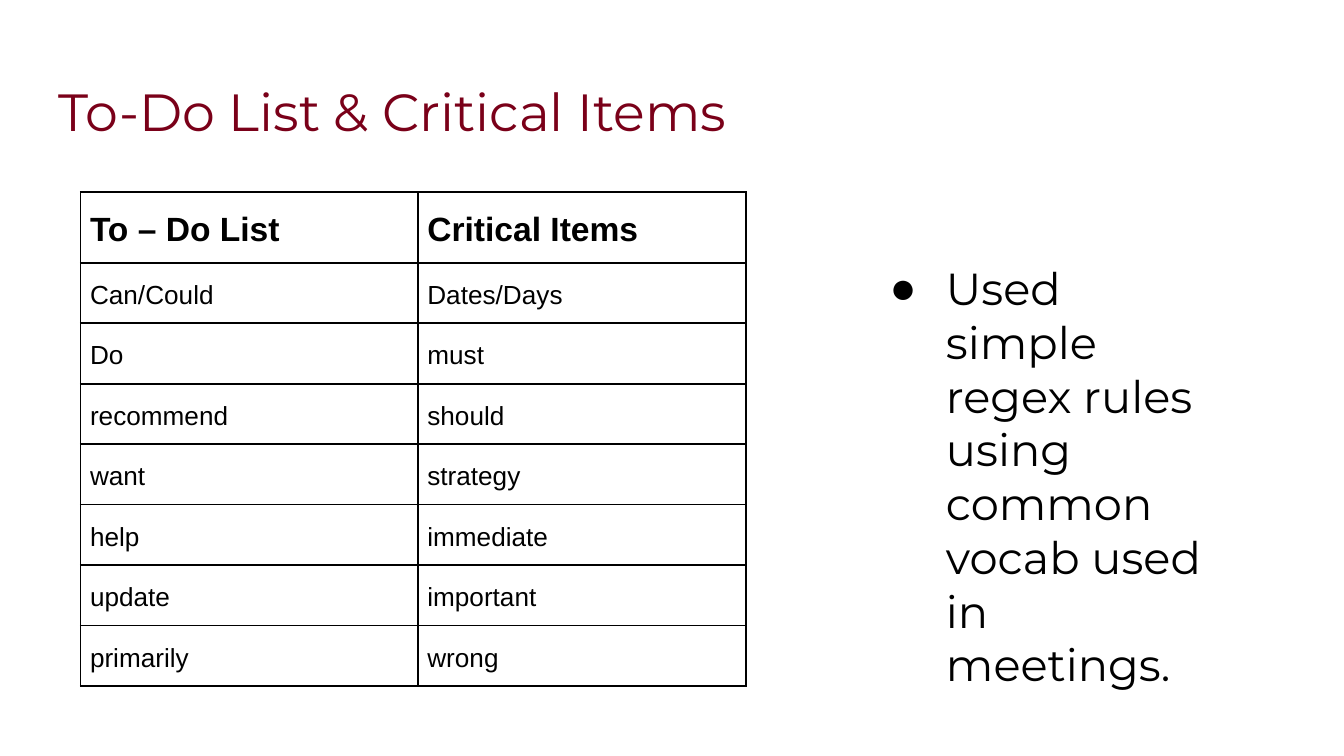
"""Build the To-Do List and Critical Items slide."""
from lxml import etree
from pptx import Presentation
from pptx.dml.color import RGBColor
from pptx.enum.text import MSO_ANCHOR
from pptx.oxml.ns import qn
from pptx.util import Inches, Pt

TOP = MSO_ANCHOR.TOP
MAROON, BLACK = "7A0019", "000000"
TITLE = "To-Do List & Critical Items"
NOTE = "Used simple regex rules using common vocab used in meetings."
ROWS = [
    ("To – Do List", "Critical Items"),
    ("Can/Could", "Dates/Days"),
    ("Do", "must"),
    ("recommend", "should"),
    ("want", "strategy"),
    ("help", "immediate"),
    ("update", "important"),
    ("primarily", "wrong"),
]
COLUMN_WIDTHS = (2.51, 2.44)
HEADER_HEIGHT, ROW_HEIGHT = 0.52, 0.45


def color(hex_text):
    return RGBColor.from_string(hex_text)


def add_span(para, text, size, font, hex_text, bold=False):
    span = para.add_run()
    span.text = text
    span.font.size = Pt(size)
    span.font.name = font
    span.font.bold = bold
    span.font.color.rgb = color(hex_text)


def add_text(page, place, text, size, hex_text):
    box = page.shapes.add_textbox(*map(Inches, place))
    frame = box.text_frame
    frame.word_wrap = True
    frame.vertical_anchor = TOP
    frame.margin_left = frame.margin_right = Inches(0.1)
    frame.margin_top = frame.margin_bottom = Inches(0.1)
    para = frame.paragraphs[0]
    add_span(para, text, size, "Montserrat", hex_text)
    return para


def add_bullet(para, left, indent):
    props = para._p.get_or_add_pPr()
    props.set("marL", str(Inches(left)))
    props.set("indent", str(Inches(indent)))
    bullet_color = etree.SubElement(props, qn("a:buClr"))
    etree.SubElement(bullet_color, qn("a:srgbClr"), val=BLACK)
    etree.SubElement(props, qn("a:buFont"), typeface="Arial")
    etree.SubElement(props, qn("a:buChar"), char="●")


def add_borders(cell):
    props = cell._tc.get_or_add_tcPr()
    for index, side in enumerate(("lnL", "lnR", "lnT", "lnB")):
        line = etree.Element(qn(f"a:{side}"), w=str(Pt(1)))
        fill = etree.SubElement(line, qn("a:solidFill"))
        etree.SubElement(fill, qn("a:srgbClr"), val=BLACK)
        props.insert(index, line)


def fill_cell(cell, text, is_header):
    cell.fill.background()
    cell.margin_left = cell.margin_right = Inches(0.07)
    cell.margin_top, cell.margin_bottom = Inches(0.1), Inches(0.08)
    cell.vertical_anchor = TOP
    para = cell.text_frame.paragraphs[0]
    para.line_spacing = 1.15
    para.space_before = para.space_after = Pt(0)
    add_span(para, text, 18 if is_header else 14, "Arial", BLACK, is_header)
    add_borders(cell)


def add_word_table(page):
    heights = [HEADER_HEIGHT] + [ROW_HEIGHT] * (len(ROWS) - 1)
    place = (0.6, 1.43, sum(COLUMN_WIDTHS), sum(heights))
    table = page.shapes.add_table(
        len(ROWS), len(COLUMN_WIDTHS), *map(Inches, place)).table
    table.first_row = table.horz_banding = False
    for column, width in zip(table.columns, COLUMN_WIDTHS):
        column.width = Inches(width)
    for row_index, (words, height) in enumerate(zip(ROWS, heights)):
        table.rows[row_index].height = Inches(height)
        for column_index, word in enumerate(words):
            fill_cell(table.cell(row_index, column_index), word, row_index == 0)


deck = Presentation()
deck.slide_width = Inches(10)
deck.slide_height = deck.slide_width * 9 // 16
page = deck.slides.add_slide(deck.slide_layouts[6])
add_text(page, (0.34, 0.49, 9.32, 0.63), TITLE, 28, MAROON)
note = add_text(page, (5.94, 1.84, 3.25, 1.22), NOTE, 24, BLACK)
add_bullet(note, 1, -0.42)
add_word_table(page)
deck.save("out.pptx")
